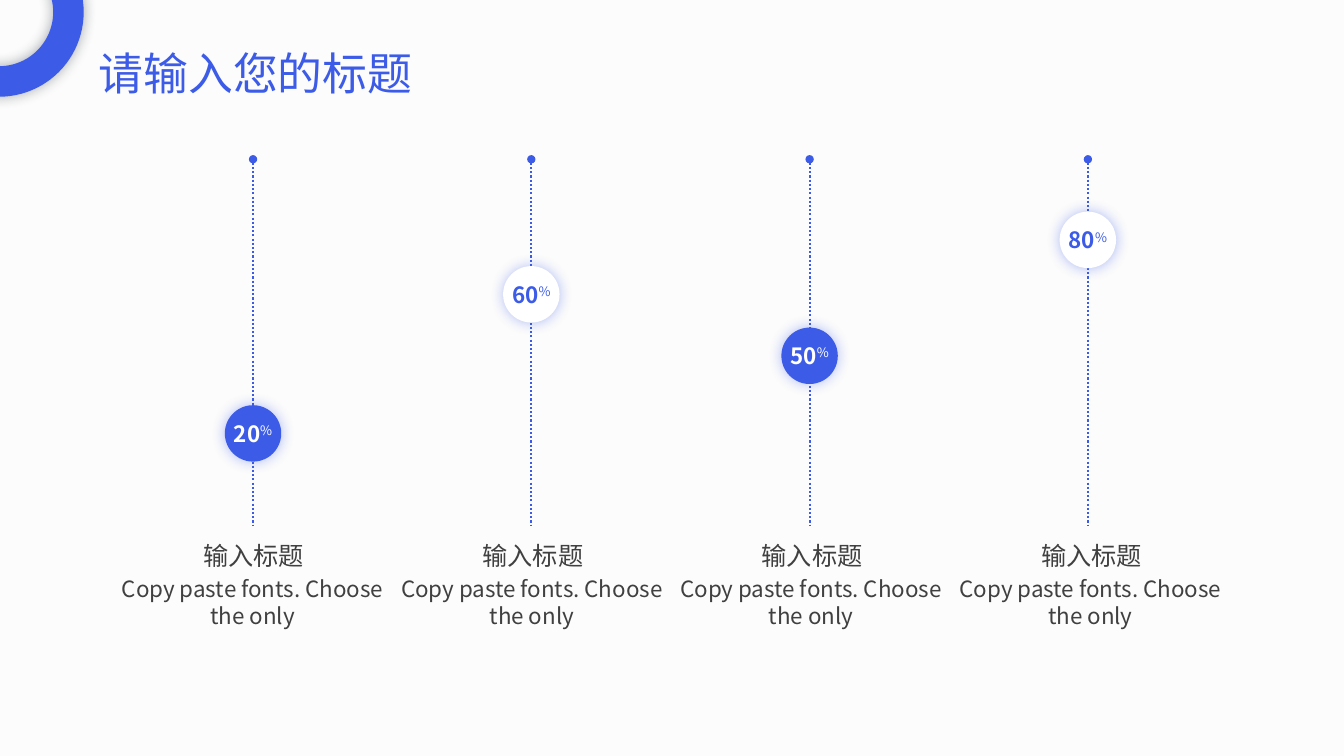
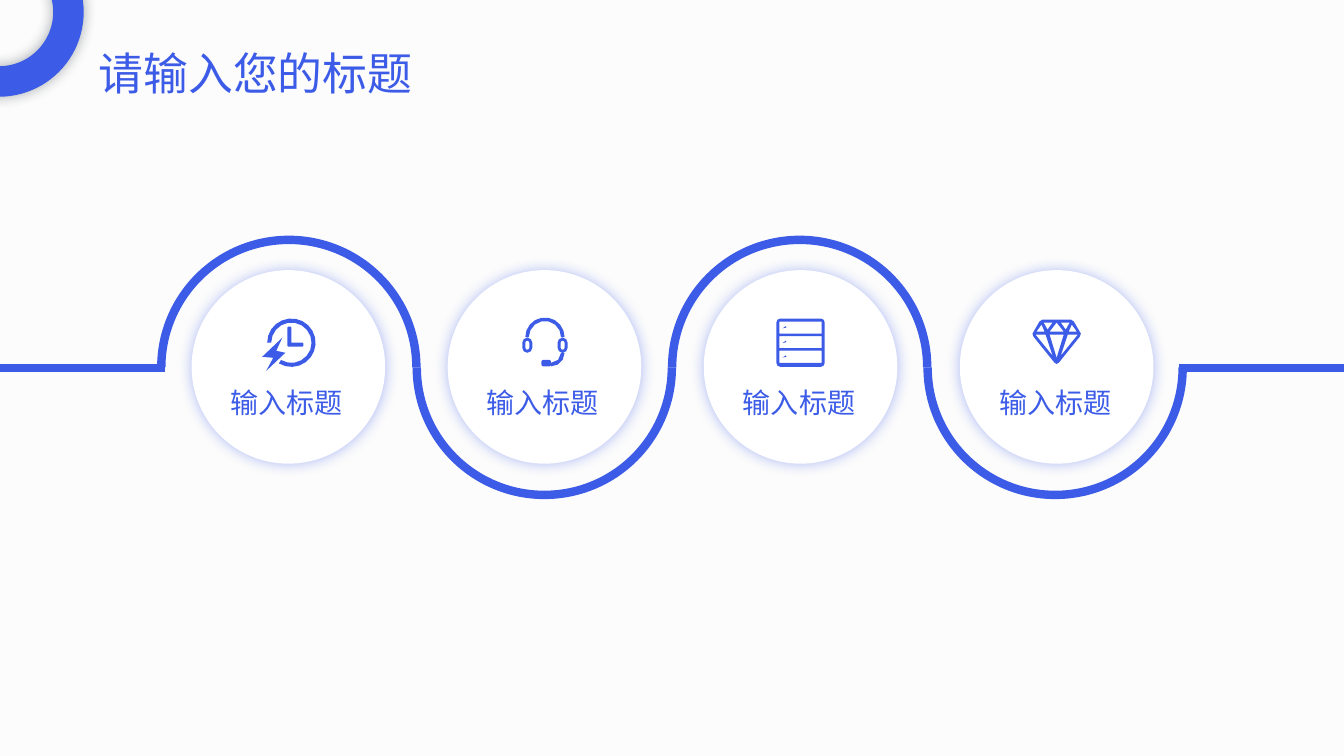
import math

from lxml import etree
from pptx import Presentation
from pptx import util as u
from pptx.dml.color import RGBColor
from pptx.enum import dml, shapes, text
from pptx.oxml.ns import qn

BLUE = RGBColor(0x3C, 0x5C, 0xE8)
WHITE = RGBColor(0xFF, 0xFF, 0xFF)
GREY = RGBColor(0x40, 0x40, 0x40)
NAVY = RGBColor(0x22, 0x2A, 0x35)
PAPER = RGBColor(0xFC, 0xFC, 0xFC)
FONT = "Noto Sans CJK SC"
CENTER = text.PP_ALIGN.CENTER
ITEM_TITLE = "输入标题"
ITEM_TEXT = "Copy paste fonts. Choose the only"

# Slider slide: percentage, top of the marker, filled or white
SLIDERS = [("20", 4.02, True), ("60", 2.64, False),
           ("50", 3.25, True), ("80", 2.1, False)]
SLIDER_X, SLIDER_PITCH, CAPTION_PITCH = 2.51, 2.76, 2.77
MARKER = 0.56

# Wave slide
WAVE_LEFT, WAVE_RIGHT, WAVE_Y = 1.6, 11.73, 3.65
ARC_PITCH, ARC_SIZE = 7.6 / 3, 2.53
DISC_X, DISC_PITCH, DISC_SIZE = 2.86, 2.54, 1.92
ICON_Y = 3.4


# Shared elements
def style_paragraph(para, size, color, align=None):
    para.alignment = align
    font = para.font
    font.size, font.name, font.color.rgb = u.Pt(size), FONT, color
    properties = para._p.pPr.find(qn("a:defRPr"))
    etree.SubElement(properties, qn("a:ea")).set("typeface", FONT)


def add_text(page, left, top, width, height, words, size, color,
             align=None, wrap=True):
    box = page.shapes.add_textbox(*map(u.Inches, (left, top, width, height)))
    box.text_frame.word_wrap = wrap
    para = box.text_frame.paragraphs[0]
    para.add_run().text = words
    style_paragraph(para, size, color, align)


def add_glow(shape, color):
    effects = shape._element.spPr.find(qn("a:effectLst"))
    shadow = etree.SubElement(effects, qn("a:outerShdw"), blurRad=str(u.Pt(10)),
                              dist="0", dir="0", algn="ctr", rotWithShape="0")
    tone = etree.SubElement(shadow, qn("a:srgbClr"), val=str(color))
    etree.SubElement(tone, qn("a:alpha"), val="40000")


def paint(shape, color):
    shape.shadow.inherit = False
    shape.fill.solid()
    shape.fill.fore_color.rgb = color
    shape.line.fill.background()


def add_glowing(page, kind, left, top, size, color, glow):
    shape = page.shapes.add_shape(
        kind, *map(u.Inches, (left, top, size, size)))
    paint(shape, color)
    add_glow(shape, glow)
    return shape


def add_line(page, x1, y1, x2, y2, width):
    line = page.shapes.add_connector(
        shapes.MSO_CONNECTOR.STRAIGHT, *map(u.Inches, (x1, y1, x2, y2)))
    line.line.color.rgb = BLUE
    line.line.width = u.Pt(width)
    etree.SubElement(line._element.spPr, qn("a:effectLst"))
    return line


def add_page(deck):
    page = deck.slides.add_slide(deck.slide_layouts[6])
    ring = add_glowing(page, shapes.MSO_SHAPE.DONUT, -0.85, -0.72, 1.68,
                       BLUE, NAVY)
    ring.adjustments[0] = 0.18
    add_text(page, 0.88, 0.4, 4.62, 0.64, "请输入您的标题", 32, BLUE)
    return page


# Slider slide
def add_slider(page, center, top, value, filled):
    track = add_line(page, center, 1.58, center, 5.21, 1.5)
    track.line.dash_style = dml.MSO_LINE.ROUND_DOT
    etree.SubElement(track.line._ln, qn("a:headEnd"), type="oval")

    fill, ink = (BLUE, WHITE) if filled else (WHITE, BLUE)
    marker = add_glowing(page, shapes.MSO_SHAPE.OVAL, center - MARKER / 2, top,
                         MARKER, fill, BLUE)
    frame = marker.text_frame
    frame.margin_left = frame.margin_right = 0
    frame.margin_top = frame.margin_bottom = 0
    frame.vertical_anchor = text.MSO_ANCHOR.MIDDLE
    para = frame.paragraphs[0]
    number, percent = para.add_run(), para.add_run()
    number.text, percent.text = value, "%"
    number.font.bold = True
    percent.font._element.set("baseline", "30000")
    style_paragraph(para, 16, ink, CENTER)


def add_caption(page, center):
    add_text(page, center - 0.6, 5.31, 1.21, 0.4, ITEM_TITLE, 18, GREY,
             CENTER, wrap=False)
    add_text(page, center - 1.5, 5.66, 2.99, 0.64, ITEM_TEXT, 16, GREY, CENTER)


# Icon outlines, in hundredths of an inch around the icon's centre
def arc_points(x, y, radius, start, end):
    steps = max(2, round(abs(end - start) * radius / 400))
    angles = [math.radians(start + (end - start) * step / steps)
              for step in range(steps + 1)]
    return [(x + radius * math.cos(a), y + radius * math.sin(a))
            for a in angles]


def band(x, y, outer, inner, start, end):
    return (arc_points(x, y, outer, start, end)
            + arc_points(x, y, inner, end, start))


def rounded(left, top, width, height, radius):
    right, bottom = left + width - radius, top + height - radius
    left, top = left + radius, top + radius
    corners = [(right, bottom), (left, bottom), (left, top), (right, top)]
    return [point for turn, (x, y) in enumerate(corners)
            for point in arc_points(x, y, radius, 90 * turn, 90 * turn + 90)]


def mirrored(outline):
    return [(-x, y) for x, y in outline]


def clock_icon():
    bolt = [(-6, -5), (-26, 14), (-15, 15), (-22, 28), (-3, 10), (-12, 8)]
    hands = [(-1, -15), (0, -16), (2, -16), (3, -15), (3, 0), (14, 0),
             (15, 1), (15, 3), (14, 4), (0, 4), (-1, 3)]
    return [bolt, hands, band(3, 0, 24, 20, 180, 481)]


def headset_icon():
    outlines = [band(0.5, -5.5, 19.5, 16, 180, 360),
                band(6.5, 10, 13.5, 10, 0, 90),
                rounded(-3, 17, 9.5, 6.5, 2)]
    for left in (-22, 13):
        outlines += [rounded(left, -5, 10, 15, 5),
                     rounded(left + 3, -2, 4, 9, 2)]
    return outlines


def server_icon():
    outlines = [rounded(-24, -24, 48, 48, 4)]
    for row in range(3):
        top = -21 + 14.5 * row
        outlines += [[(-21, top), (21, top), (21, top + 12), (-21, top + 12)],
                     arc_points(-16, top + 6, 2, 0, 360 * 7 / 8)]
    return outlines


def diamond_icon():
    half = [(14, -23), (17, -21), (24, -9), (23, -6), (2, 20), (0, 21)]
    facets = [[(20, -11), (12, -11), (15, -18)],
              [(4, -20), (13, -20), (9, -13)],
              [(4, 13), (11, -8), (21, -8)]]
    middle = [[(0, -20), (7, -11), (-7, -11)], [(7, -8), (0, 15), (-7, -8)]]
    return ([half + mirrored(half[-2::-1])] + middle + facets
            + [mirrored(facet) for facet in facets])


def add_icon(page, center, outlines):
    builder = None
    for outline in outlines:
        points = [(u.Inches(center + x / 100), u.Inches(ICON_Y + y / 100))
                  for x, y in outline]
        if builder is None:
            builder = page.shapes.build_freeform(*points[0])
        else:
            builder.move_to(*points[0])
        builder.add_line_segments(points[1:], close=True)
    paint(builder.convert_to_shape(), BLUE)


# Wave slide
def add_wave(page):
    for index in range(4):
        left = WAVE_LEFT + index * ARC_PITCH
        arc = page.shapes.add_shape(
            shapes.MSO_SHAPE.ARC,
            *map(u.Inches, (left, 2.38, ARC_SIZE, ARC_SIZE)))
        arc.adjustments[0], arc.adjustments[1] = 108, 0
        arc.rotation = 180 * (index % 2)
        arc.shadow.inherit = False
        arc.fill.background()
        arc.line.color.rgb = BLUE
        arc.line.width = u.Pt(6)
    add_line(page, WAVE_LEFT + 0.04, WAVE_Y, 0, WAVE_Y, 6)
    add_line(page, 13.33, WAVE_Y, WAVE_RIGHT - 0.04, WAVE_Y, 6)


def add_disc(page, center, outlines):
    add_glowing(page, shapes.MSO_SHAPE.OVAL, center - DISC_SIZE / 2, 2.68,
                DISC_SIZE, WHITE, BLUE)
    add_icon(page, center, outlines)
    add_text(page, center - 0.67, 3.78, 1.32, 0.44, ITEM_TITLE, 20, BLUE,
             wrap=False)


def main():
    deck = Presentation()
    deck.slide_width, deck.slide_height = u.Inches(13.33), u.Inches(7.5)
    backdrop = deck.slide_master.background.fill
    backdrop.solid()
    backdrop.fore_color.rgb = PAPER

    page = add_page(deck)
    for index, (value, top, filled) in enumerate(SLIDERS):
        add_slider(page, SLIDER_X + index * SLIDER_PITCH, top, value, filled)
        add_caption(page, SLIDER_X + index * CAPTION_PITCH)

    page = add_page(deck)
    add_wave(page)
    icons = [clock_icon(), headset_icon(), server_icon(), diamond_icon()]
    for index, outlines in enumerate(icons):
        add_disc(page, DISC_X + index * DISC_PITCH, outlines)

    deck.save("out.pptx")


if __name__ == "__main__":
    main()
